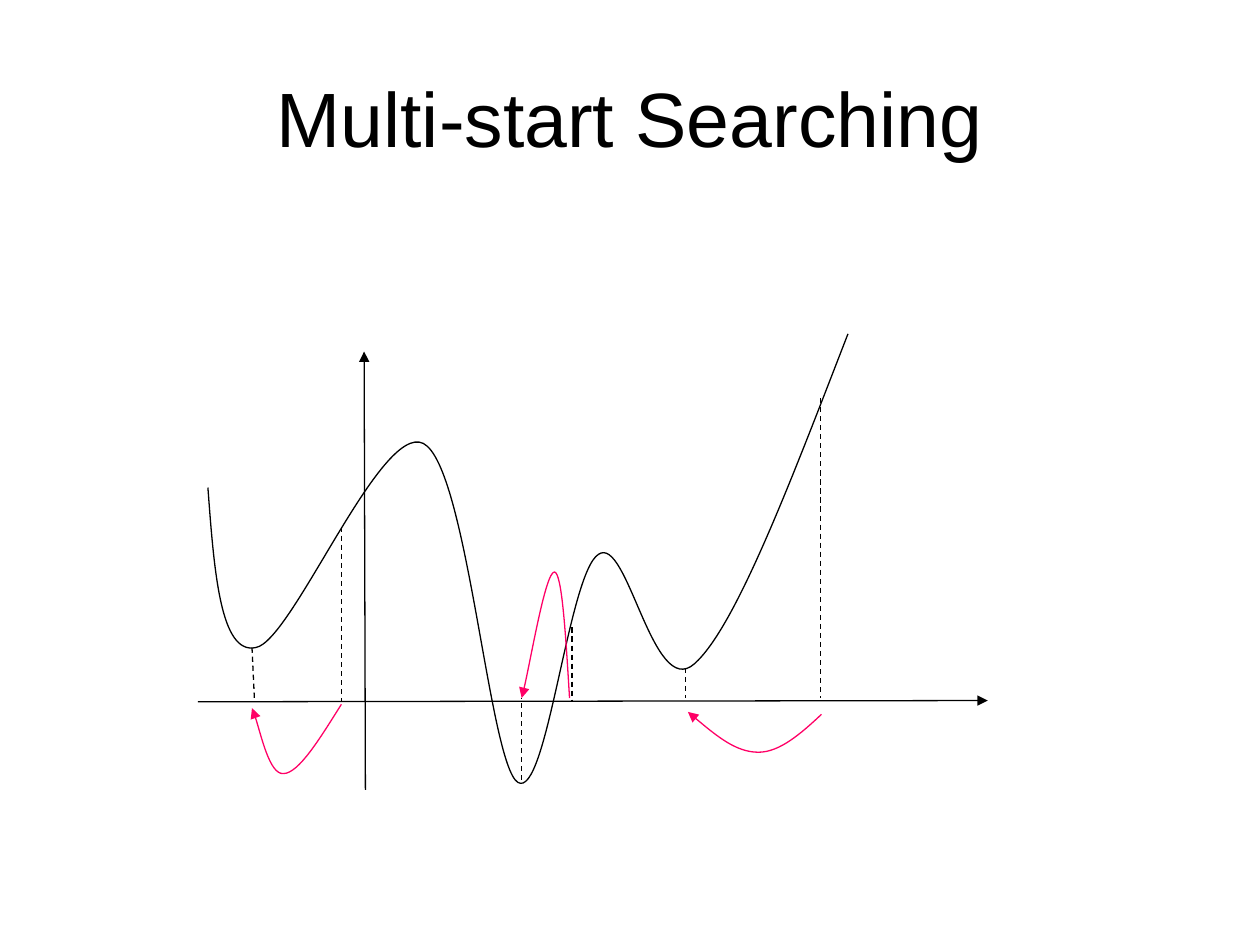
from lxml import etree
from pptx import Presentation
from pptx import util as u
from pptx.dml.color import RGBColor
from pptx.enum import dml, shapes, text
from pptx.oxml.ns import qn

COLORS = {"ink": "000000", "jump": "FF0066"}


class Sketch:
    def __init__(self, slide, font="Arial", line_width=0.75):
        self.slide = slide
        self.font = font
        self.line_width = u.Pt(line_width)

    def title(self, words, left, top, width, height):
        box = self.slide.shapes.add_textbox(*map(u.Inches, (left, top, width, height)))
        frame = box.text_frame
        frame.word_wrap = True
        frame.vertical_anchor = text.MSO_ANCHOR.MIDDLE
        paragraph = frame.paragraphs[0]
        paragraph.text = words
        paragraph.alignment = text.PP_ALIGN.CENTER
        paragraph.font.name = self.font
        paragraph.font.size = u.Pt(44)
        paragraph.font.color.rgb = RGBColor.from_string(COLORS["ink"])

    def stroke(self, line, color, dashed=False, arrow=False):
        line.width = self.line_width
        line.color.rgb = RGBColor.from_string(COLORS[color])
        if dashed:
            line.dash_style = dml.MSO_LINE.DASH
        if arrow:
            outline = line._get_or_add_ln()
            etree.SubElement(outline, qn("a:tailEnd"), type="triangle")

    def line(self, start, end, **style):
        connector = self.slide.shapes.add_connector(
            shapes.MSO_CONNECTOR.STRAIGHT, *map(u.Inches, (*start, *end)))
        self.stroke(connector.line, "ink", **style)
        etree.SubElement(connector._element.spPr, qn("a:effectLst"))

    def curve(self, points, color="ink", arrow=False):
        """Draw cubic Béziers: a start point, then two controls and an end per piece."""
        start, *others = [(u.Inches(x), u.Inches(y)) for x, y in points]
        builder = self.slide.shapes.build_freeform(*start)
        builder.add_line_segments(others, close=False)
        shape = builder.convert_to_shape()
        shape.shadow.inherit = False
        shape.fill.background()
        self.stroke(shape.line, color, arrow=arrow)

        outline = next(shape._element.iter(qn("a:path")))
        segments = outline.findall(qn("a:lnTo"))
        for first in range(0, len(segments), 3):
            bezier = etree.SubElement(outline, qn("a:cubicBezTo"))
            for segment in segments[first:first + 3]:
                bezier.append(segment[0])
                outline.remove(segment)


OBJECTIVE = [
    (1.65, 3.87),
    (1.7, 4.54), (1.75, 5.2), (2.03, 5.14),
    (2.32, 5.09), (3.02, 3.35), (3.36, 3.52),
    (3.71, 3.7), (3.88, 6.06), (4.11, 6.21),
    (4.34, 6.35), (4.51, 4.55), (4.75, 4.4),
    (4.98, 4.24), (5.18, 5.56), (5.51, 5.27),
    (5.84, 4.98), (6.28, 3.81), (6.73, 2.65),
]

# Each search: drop line at its start, drop line at its minimum, jump between them.
SEARCHES = [
    (((6.51, 3.16), (6.51, 5.54)), ((5.44, 5.3), (5.44, 5.54)),
     [(6.52, 5.67), (6.36, 5.82), (6.19, 5.97), (6.02, 5.97),
      (5.84, 5.97), (5.65, 5.81), (5.46, 5.65)]),
    (((4.54, 4.98), (4.54, 5.57)), ((4.14, 6.19), (4.14, 5.54)),
     [(4.52, 5.54), (4.49, 5.04), (4.46, 4.54), (4.4, 4.54),
      (4.33, 4.54), (4.19, 5.37), (4.14, 5.54)]),
    (((2.71, 4.18), (2.71, 5.56)), ((2, 5.14), (2.02, 5.56)),
     [(2.71, 5.59), (2.54, 5.86), (2.37, 6.14), (2.25, 6.14),
      (2.14, 6.15), (2.04, 5.7), (2, 5.62)]),
]


def main():
    deck = Presentation()
    deck.slide_width, deck.slide_height = u.Inches(10), u.Inches(7.5)
    sketch = Sketch(deck.slides.add_slide(deck.slide_layouts[6]))

    sketch.title("Multi-start Searching", 0.5, 0.3, 9, 1.25)
    sketch.line((1.57, 5.57), (7.84, 5.56), arrow=True)
    sketch.line((2.9, 6.27), (2.89, 2.79), arrow=True)
    sketch.curve(OBJECTIVE)
    for start_drop, minimum_drop, jump in SEARCHES:
        sketch.line(*start_drop, dashed=True)
        sketch.line(*minimum_drop, dashed=True)
        sketch.curve(jump, "jump", arrow=True)

    deck.save("out.pptx")


if __name__ == "__main__":
    main()
